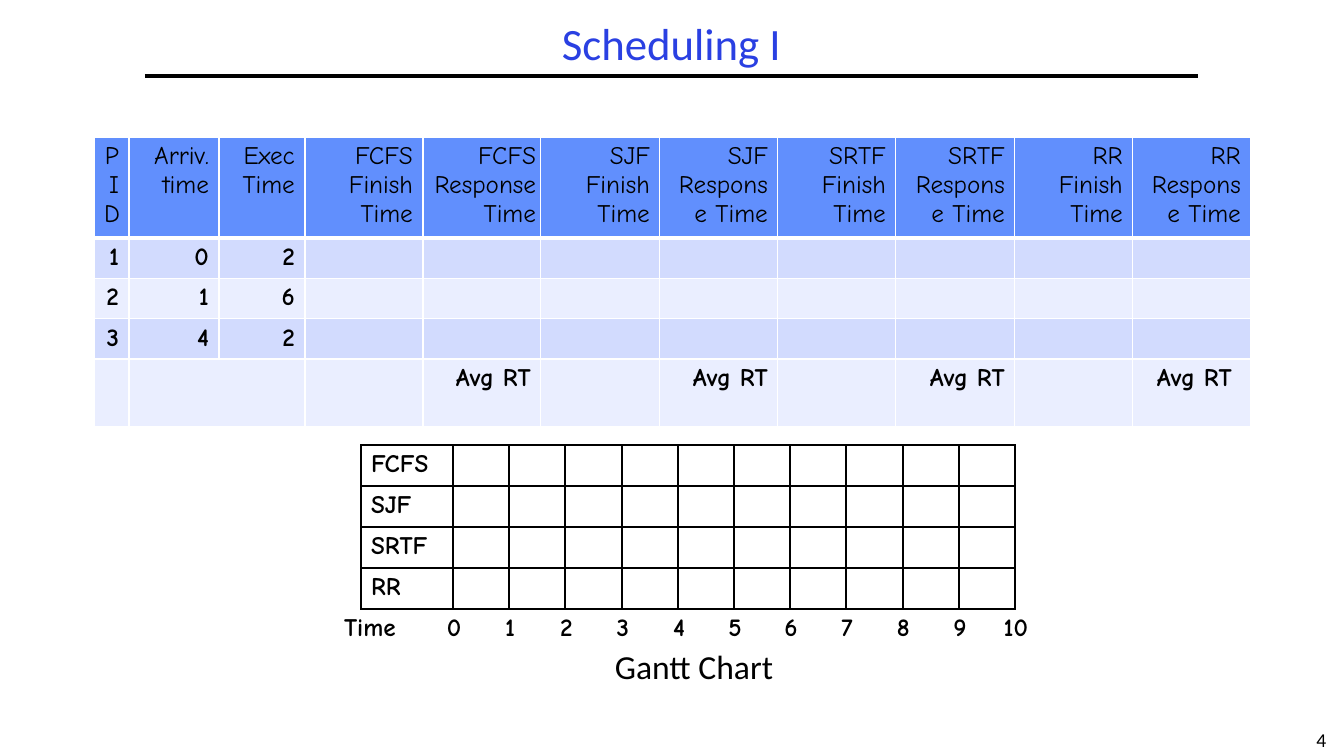
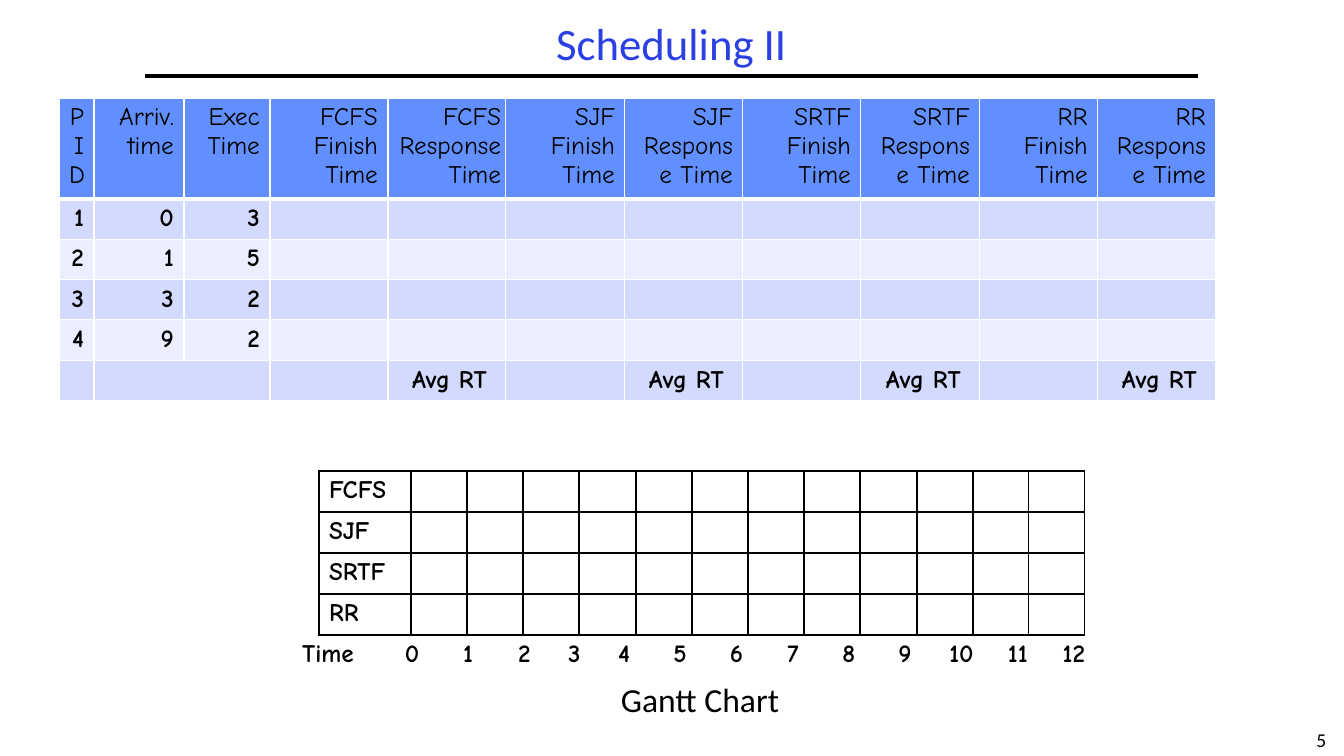
from lxml import etree
from pptx import Presentation
from pptx import util as u
from pptx.dml.color import RGBColor
from pptx.enum import shapes, text
from pptx.oxml.ns import qn

# Content
HEADINGS = ["PID", "Arriv. time", "Exec Time",
            "FCFS\nFinish Time", "FCFS\nResponse Time",
            "SJF Finish Time", "SJF Response Time",
            "SRTF Finish Time", "SRTF Response Time",
            "RR\nFinish Time", "RR\nResponse Time"]
POLICIES = ["FCFS", "SJF", "SRTF", "RR"]
CAPTION = "Gantt Chart"
SLIDES = [
    dict(title="Scheduling I", number=4,
         jobs=[(1, 0, 2), (2, 1, 6), (3, 4, 2)],
         averages=["Avg RT", "Avg RT", "Avg RT", "Avg RT "],
         jobs_at=(94, 137), average_height=68,
         gantt_at=(361, 445), ticks=10, narrow_tick=None,
         caption_at=(605, 649)),
    dict(title="Scheduling II", number=5,
         jobs=[(1, 0, 3), (2, 1, 5), (3, 3, 2), (4, 9, 2)],
         averages=["Avg RT "] * 4,
         jobs_at=(59, 98), average_height=39,
         gantt_at=(319, 471), ticks=12, narrow_tick=3,
         caption_at=(611, 682)),
]

# Shared style
EMU_PER_PX = 914400 / 100.8
HEAD_FONT, TABLE_FONT = "Calibri", "Comic Neue"
BLACK, WHITE, TITLE_BLUE = "000000", "FFFFFF", "2A40E2"
HEADER_FILL, BANDS = "618FFD", ("D2DBFE", "EAEEFF")
NO_STYLE = "{2D5ABB26-0587-4C30-8999-92F81FD0307C}"
LEFT, CENTER, RIGHT = (text.PP_ALIGN.LEFT, text.PP_ALIGN.CENTER,
                       text.PP_ALIGN.RIGHT)
HEADER_HEIGHT, JOB_HEIGHT, GANTT_HEIGHT = 97, 39, 41
POLICY_WIDTH, NARROW_TICK = 92, 43
TIME_SHIFT = 27


def px(length):
    return u.Emu(round(length * EMU_PER_PX))


def color(value):
    return RGBColor.from_string(value)


def split(total, count):
    """Cut a length into whole, nearly equal parts."""
    edges = [round(total * i / count) for i in range(count + 1)]
    return [b - a for a, b in zip(edges, edges[1:])]


def tick_widths(count):
    return split(round(56.2 * count), count)


def write(paragraph, words, size, font, ink=BLACK, bold=False, align=LEFT):
    paragraph.alignment = align
    run = paragraph.add_run()
    run.text = words
    run.font.size, run.font.name, run.font.bold = u.Pt(size), font, bold
    run.font.color.rgb = color(ink)


def add_label(slide, words, box, size, ink=BLACK, align=CENTER,
              spacing=None, anchor=text.MSO_ANCHOR.TOP, wrap=True):
    frame = slide.shapes.add_textbox(*map(px, box)).text_frame
    frame.word_wrap, frame.vertical_anchor = wrap, anchor
    paragraph = frame.paragraphs[0]
    if spacing:
        paragraph.line_spacing = spacing
    write(paragraph, words, size, HEAD_FONT, ink, align=align)
    return paragraph


# Tables
def add_grid(slide, at, widths, heights):
    table = slide.shapes.add_table(
        len(heights), len(widths), *map(px, (*at, sum(widths), sum(heights)))).table
    table.first_row = table.horz_banding = False
    table._tbl.tblPr.find(qn("a:tableStyleId")).text = NO_STYLE
    for column, width in zip(table.columns, widths):
        column.width = px(width)
    for row, height in zip(table.rows, heights):
        row.height = px(height)
    return table


def set_borders(cell, ink, bottom=1):
    properties = cell._tc.get_or_add_tcPr()
    for i, (side, points) in enumerate(
            [("L", 1), ("R", 1), ("T", 1), ("B", bottom)]):
        line = etree.Element(qn("a:ln" + side), w=str(u.Pt(points)))
        fill = etree.SubElement(line, qn("a:solidFill"))
        etree.SubElement(fill, qn("a:srgbClr"), val=ink)
        properties.insert(i, line)


def fill_cell(cell, words="", align=LEFT, bold=True, fill=None, border=None, bottom=1):
    if fill:
        cell.fill.solid()
        cell.fill.fore_color.rgb = color(fill)
    if border:
        set_borders(cell, border, bottom)
    frame = cell.text_frame
    if not words:
        # Keep empty cells from stretching their row
        etree.SubElement(frame.paragraphs[0]._p, qn("a:endParaRPr"), sz="1200")
        return
    for i, line in enumerate(words.split("\n")):
        paragraph = frame.add_paragraph() if i else frame.paragraphs[0]
        write(paragraph, line, 18, TABLE_FONT, bold=bold, align=align)


def add_jobs(slide, content):
    jobs = content["jobs"]
    average_row = [""] * len(HEADINGS)
    average_row[4::2] = content["averages"]
    rows = [HEADINGS, *([str(v) for v in job] + [""] * 8 for job in jobs), average_row]
    heights = [HEADER_HEIGHT] + [JOB_HEIGHT] * len(jobs) + [content["average_height"]]
    table = add_grid(slide, content["jobs_at"], [35, 90, 86] + split(946, 8), heights)
    for r, row in enumerate(rows):
        for c, words in enumerate(row):
            fill_cell(table.cell(r, c), words, RIGHT, bold=r > 0,
                      fill=BANDS[(r - 1) % 2] if r else HEADER_FILL,
                      border=WHITE, bottom=1 if r else 3)
    response = table.cell(0, 4)
    response.margin_left = response.margin_right = px(5)
    table.cell(len(rows) - 1, 1).merge(table.cell(len(rows) - 1, 2))


def add_gantt(slide, content):
    left, top = content["gantt_at"]
    ticks = content["ticks"]
    heights = [GANTT_HEIGHT] * len(POLICIES)
    chart = add_grid(slide, (left, top), [POLICY_WIDTH] + tick_widths(ticks), heights)
    for r, policy in enumerate(POLICIES):
        for c in range(ticks + 1):
            fill_cell(chart.cell(r, c), "" if c else policy, border=BLACK)

    # Time scale, each number centred under a grid line
    widths = tick_widths(ticks + 1)
    if content["narrow_tick"] is not None:
        widths[content["narrow_tick"]] = NARROW_TICK
    scale = add_grid(slide, (left - TIME_SHIFT, top + sum(heights)),
                     [POLICY_WIDTH] + widths, [GANTT_HEIGHT])
    fill_cell(scale.cell(0, 0), "Time")
    for tick in range(ticks + 1):
        fill_cell(scale.cell(0, tick + 1), str(tick), CENTER)

    caption = add_label(slide, CAPTION, (*content["caption_at"], 184, 43), 24,
                        align=LEFT, spacing=0.8)
    caption.space_before = u.Pt(7)


# Title, rule and page number
def add_frame(slide, content):
    add_label(slide, str(content["number"]), (1300, 723, 43, 33), 14, wrap=False)
    rule = slide.shapes.add_connector(
        shapes.MSO_CONNECTOR.STRAIGHT, *map(px, (145, 76, 1198, 76)))
    rule.line.color.rgb, rule.line.width = color(BLACK), u.Pt(3)
    etree.SubElement(rule._element.spPr, qn("a:effectLst"))
    add_label(slide, content["title"], (145, 17, 1053, 58), 32, TITLE_BLUE,
              spacing=0.9, anchor=text.MSO_ANCHOR.MIDDLE)


def main():
    deck = Presentation()
    deck.slide_width, deck.slide_height = px(1344), px(756)
    for content in SLIDES:
        slide = deck.slides.add_slide(deck.slide_layouts[6])
        add_frame(slide, content)
        add_jobs(slide, content)
        add_gantt(slide, content)
    deck.save("out.pptx")


if __name__ == "__main__":
    main()
